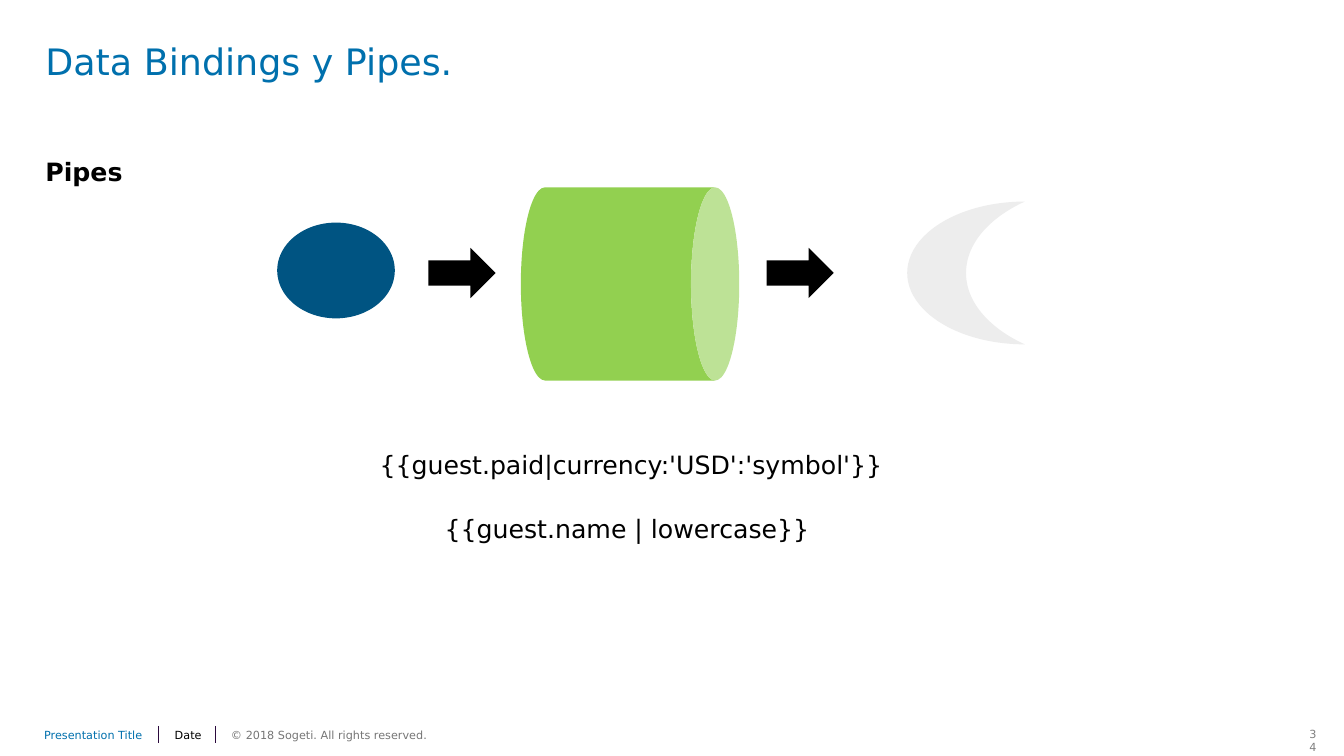
from lxml.etree import SubElement
from pptx import Presentation
from pptx.dml.color import RGBColor
from pptx.enum.shapes import MSO_CONNECTOR, MSO_SHAPE
from pptx.enum.text import MSO_ANCHOR, PP_ALIGN
from pptx.oxml.ns import qn
from pptx.util import Inches, Pt

COLS, ROWS = 160, 90


def paint(hue):
    return RGBColor.from_string(hue)


class Deck:
    font = "DejaVu Sans"

    def __init__(self):
        self.prs = Presentation()
        self.prs.slide_width = Inches(13.33)
        self.prs.slide_height = Inches(7.5)
        self.slide = self.prs.slides.add_slide(self.prs.slide_layouts[6])

    def grid(self, x, y, w, h):
        col = self.prs.slide_width / COLS
        row = self.prs.slide_height / ROWS
        return [round(n * unit) for n, unit in zip((x, y, w, h), (col, row, col, row))]

    def text(self, words, cell, size, hue="000000", bold=False, inset=0,
             anchor=MSO_ANCHOR.TOP, align=PP_ALIGN.LEFT, lead=None):
        frame = self.slide.shapes.add_textbox(*self.grid(*cell)).text_frame
        frame.word_wrap = True
        frame.vertical_anchor = anchor
        frame.margin_left = frame.margin_right = Inches(inset)
        frame.margin_top = frame.margin_bottom = Inches(inset / 2)
        para = frame.paragraphs[0]
        para.text = words
        para.alignment = align
        para.line_spacing = lead
        para.font.name = self.font
        para.font.size = Pt(size)
        para.font.bold = bold
        para.font.color.rgb = paint(hue)

    def shape(self, kind, cell, hue, turn=0):
        item = self.slide.shapes.add_shape(kind, *self.grid(*cell))
        item.shadow.inherit = False
        item.rotation = turn
        item.fill.solid()
        item.fill.fore_color.rgb = paint(hue)
        item.line.fill.background()

    def rule(self, x, y, high, hue):
        left, top, _, tall = self.grid(x, y, 0, high)
        line = self.slide.shapes.add_connector(
            MSO_CONNECTOR.STRAIGHT, left, top, left, top + tall)
        line.line.color.rgb = paint(hue)
        line.line.width = Pt(0.5)
        SubElement(line._element.spPr, qn("a:effectLst"))


def main():
    deck = Deck()

    deck.text("34", (154.7, 86, 3.2, 2.9), 8, "808080", inset=0.1, align=PP_ALIGN.RIGHT)
    for words, x, wide, hue in (
        ("Presentation Title", 5.25, 13, "0070AD"),
        ("Date", 20.8, 4.4, "000000"),
        ("© 2018 Sogeti. All rights reserved.", 27.5, 34, "767676"),
    ):
        deck.text(words, (x, 86, wide, 2.9), 8, hue, anchor=MSO_ANCHOR.MIDDLE)
    for x in (18.9, 25.6):
        deck.rule(x, 86.4, 2, "2B0A3D")

    deck.text("Data Bindings y Pipes.", (5.4, 5.3, 143.7, 11.4), 26, "0070AD", lead=0.9)
    deck.text("Pipes", (5.4, 18.6, 11.6, 5.8), 18, bold=True, lead=Pt(22))

    deck.shape(MSO_SHAPE.FLOWCHART_CONNECTOR, (33, 26.5, 14, 11.4), "005482")
    deck.shape(MSO_SHAPE.CAN, (63.5, 20.8, 23, 26), "92D050", turn=90)
    for x in (51, 91.25):
        deck.shape(MSO_SHAPE.RIGHT_ARROW, (x, 29.5, 8, 6), "000000")
    deck.shape(MSO_SHAPE.MOON, (108, 24, 14, 17), "EDEDED")

    for words, x, y, wide in (
        ("{{guest.paid|currency:'USD':'symbol'}}", 44, 52.9, 64),
        ("{{guest.name | lowercase}}", 51.75, 60.5, 46.5),
    ):
        deck.text(words, (x, y, wide, 4.8), 18, inset=0.1)

    deck.prs.save("out.pptx")


if __name__ == "__main__":
    main()
